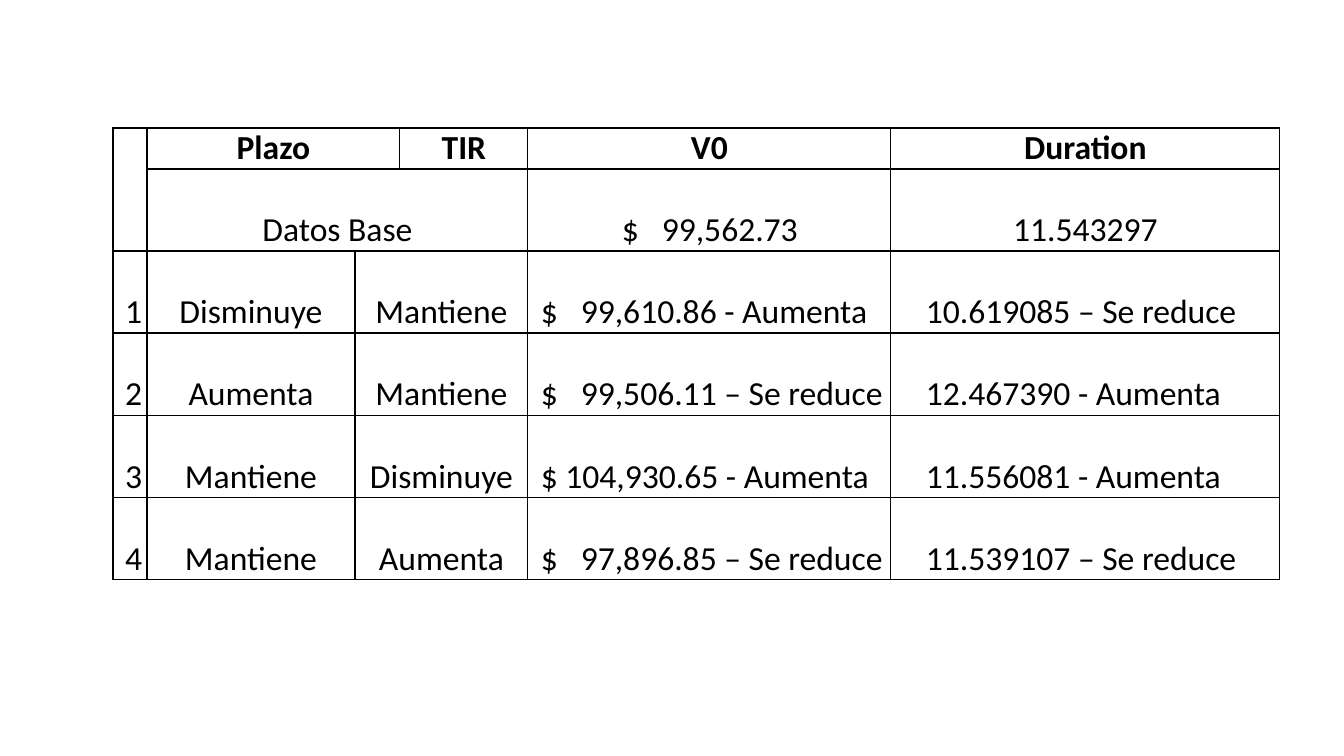
from lxml.etree import SubElement
from pptx import Presentation
from pptx.dml.color import RGBColor
from pptx.enum.text import PP_ALIGN
from pptx.oxml.ns import qn
from pptx.util import Pt

EMU_PER_PX = 914400 / 100.8
COLORS = {"ink": "000000", "paper": "FFFFFF"}
FONT = "Calibri"
COLUMNS = [34, 208, 45, 128, 363, 389]
HEADER_HEIGHT, ROW_HEIGHT = 41, 82
CELL_MARGIN, AMOUNT_MARGIN, DURATION_MARGIN = 5, 13, 35
BASE_AMOUNT_MARGIN, AMOUNT_TAB = 94, 40
SCENARIOS = [
    ("1", "Disminuye", "Mantiene", "$\t99,610.86 - Aumenta", "10.619085 – Se reduce"),
    ("2", "Aumenta", "Mantiene", "$\t99,506.11 – Se reduce", "12.467390 - Aumenta"),
    ("3", "Mantiene", "Disminuye", "$ 104,930.65 - Aumenta", "11.556081 - Aumenta"),
    ("4", "Mantiene", "Aumenta", "$\t97,896.85 – Se reduce", "11.539107 – Se reduce"),
]


def px(length):
    """Turn a length in px into EMU."""
    return round(length * EMU_PER_PX)


def style_cell(cell):
    """Give a cell its margins, thin borders and plain fill."""
    cell.margin_left = cell.margin_right = px(CELL_MARGIN)
    cell.margin_top = cell.margin_bottom = 0
    properties = cell._tc.get_or_add_tcPr()
    for side in ("lnL", "lnR", "lnT", "lnB"):
        line = SubElement(properties, qn(f"a:{side}"), w=str(Pt(1)))
        fill = SubElement(line, qn("a:solidFill"))
        SubElement(fill, qn("a:srgbClr"), val=COLORS["ink"])
    cell.fill.solid()
    cell.fill.fore_color.rgb = RGBColor.from_string(COLORS["paper"])


def write(cell, text, align=PP_ALIGN.CENTER, bold=False, spacing=2.0, margin=CELL_MARGIN):
    """Write one formatted paragraph into a cell."""
    cell.margin_left = px(margin)
    para = cell.text_frame.paragraphs[0]
    para.alignment = align
    para.line_spacing = spacing
    para.space_after = Pt(8)
    if "\t" in text:
        tabs = SubElement(para._p.get_or_add_pPr(), qn("a:tabLst"))
        SubElement(tabs, qn("a:tab"), pos=str(px(AMOUNT_TAB)), algn="l")
    span = para.add_run()
    span.text = text
    span.font.name = FONT
    span.font.size = Pt(24)
    span.font.bold = bold
    span.font.color.rgb = RGBColor.from_string(COLORS["ink"])


def fill_heading(table):
    """Fill the header row and the base data row."""
    table.cell(0, 0).merge(table.cell(1, 0))
    table.cell(0, 1).merge(table.cell(0, 2))
    table.cell(1, 1).merge(table.cell(1, 3))
    for column, title in ((1, "Plazo"), (3, "TIR"), (4, "V0"), (5, "Duration")):
        write(table.cell(0, column), title, bold=True, spacing=1.0)
    write(table.cell(1, 1), "Datos Base")
    write(table.cell(1, 4), "$\t99,562.73", align=PP_ALIGN.LEFT, margin=BASE_AMOUNT_MARGIN)
    write(table.cell(1, 5), "11.543297")


def fill_scenarios(table):
    """Fill one row for each scenario."""
    for row, (number, term, rate, amount, duration) in enumerate(SCENARIOS, start=2):
        table.cell(row, 2).merge(table.cell(row, 3))
        write(table.cell(row, 0), number, align=PP_ALIGN.RIGHT)
        write(table.cell(row, 1), term)
        write(table.cell(row, 2), rate)
        write(table.cell(row, 4), amount, align=PP_ALIGN.LEFT, margin=AMOUNT_MARGIN)
        write(table.cell(row, 5), duration, align=PP_ALIGN.LEFT, margin=DURATION_MARGIN)


def add_sensitivity_table(page, left, top):
    """Place the whole table with its corner at left, top."""
    heights = [HEADER_HEIGHT] + [ROW_HEIGHT] * (len(SCENARIOS) + 1)
    box = page.shapes.add_table(
        len(heights), len(COLUMNS), px(left), px(top), px(sum(COLUMNS)), px(sum(heights))
    )
    table = box.table
    table.first_row = table.horz_banding = False
    for column, width in zip(table.columns, COLUMNS):
        column.width = px(width)
    for row, height in zip(table.rows, heights):
        row.height = px(height)
        for cell in row.cells:
            style_cell(cell)
    fill_heading(table)
    fill_scenarios(table)


def main():
    """Build the deck and save it."""
    deck = Presentation()
    deck.slide_width, deck.slide_height = px(1344), px(756)
    page = deck.slides.add_slide(deck.slide_layouts[6])
    add_sensitivity_table(page, 113, 128)
    deck.save("out.pptx")


if __name__ == "__main__":
    main()
